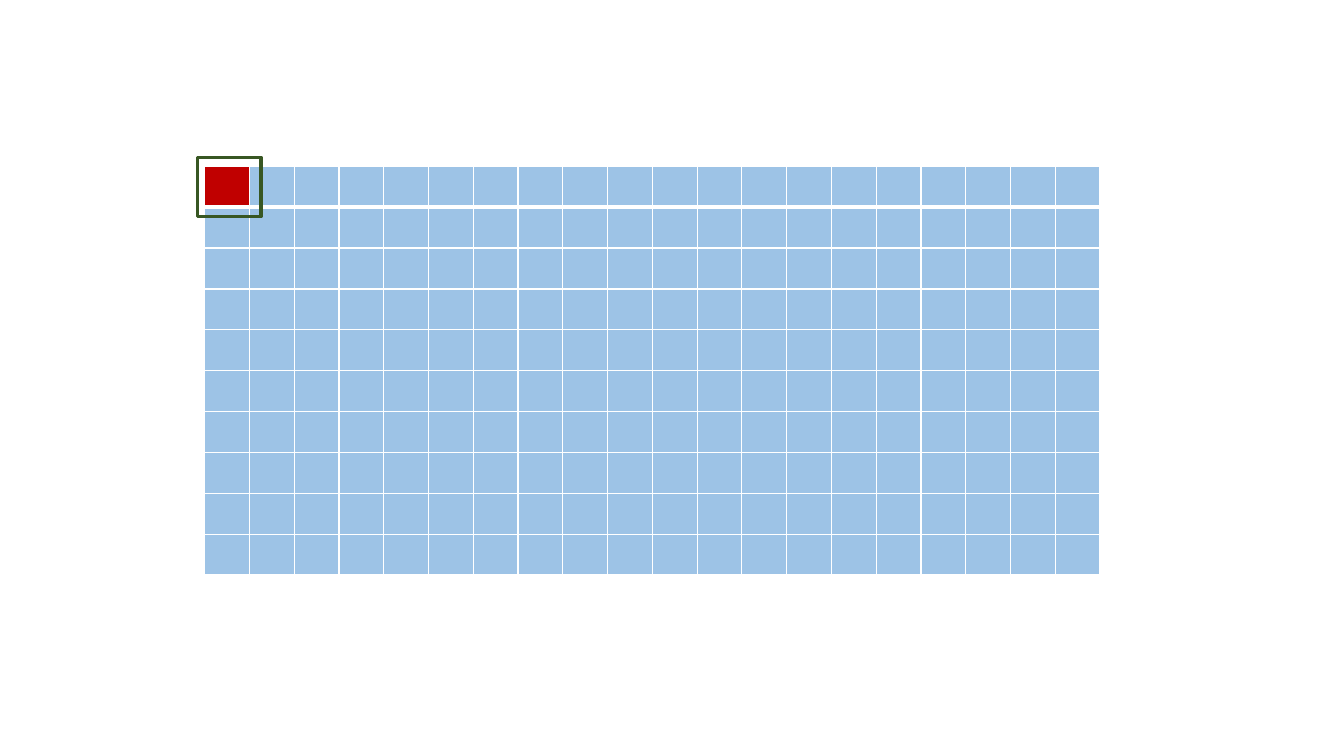
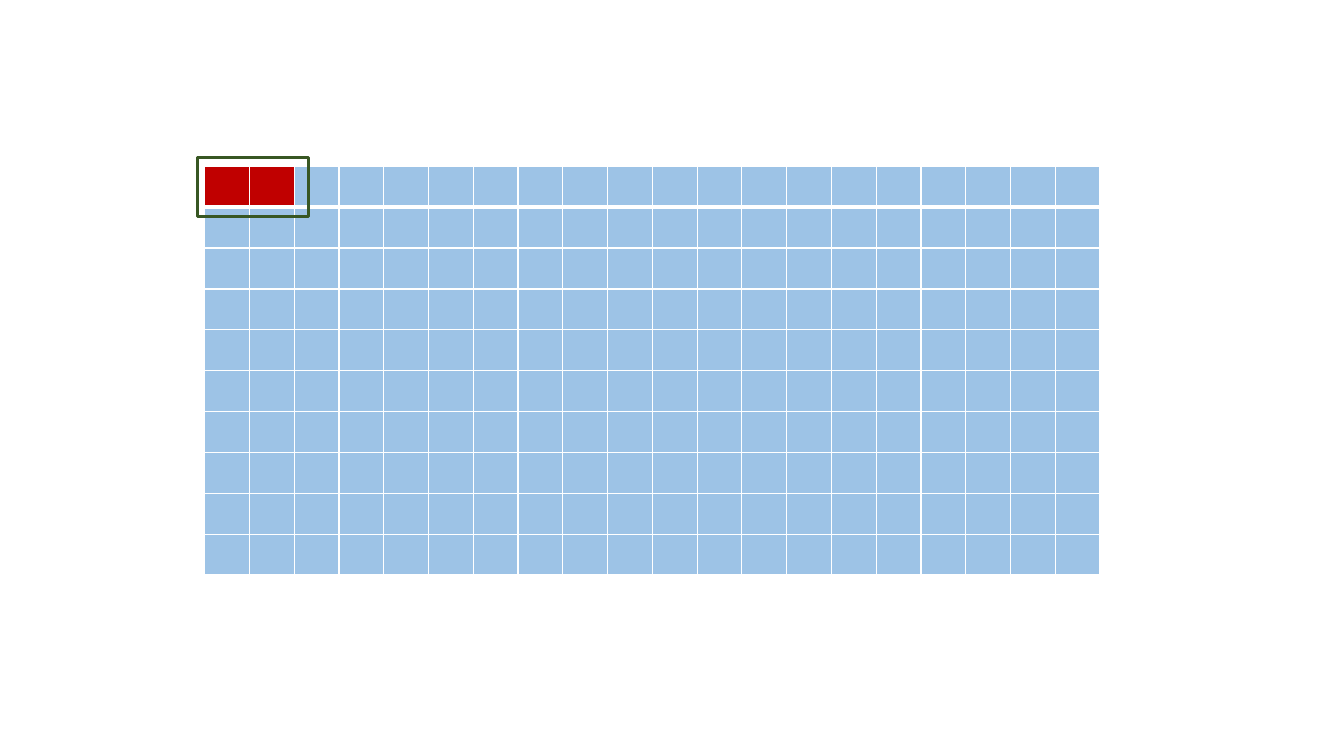
import pptx
import pptx.dml.color
import pptx.enum.shapes
import pptx.util
import lxml.etree
from pptx.oxml.ns import qn

Cm = pptx.util.Cm
Pt = pptx.util.Pt

COLOURS = {"cell": "9DC3E6", "marked": "C00000", "rule": "FFFFFF", "frame": "385723"}
COLUMNS, ROWS = 20, 10
GRID_BOX = (Cm(5.16), Cm(4.19), Cm(22.58), Cm(10.3))
FRAME_INSET = (Cm(0.18), Cm(0.23))
FRAME_SIZE = (Cm(1.6), Cm(1.5))
FRAME_STEP = Cm(1.19)


def colour(name):
    return pptx.dml.color.RGBColor.from_string(COLOURS[name])


def add_borders(cell, widths):
    properties = cell._tc.get_or_add_tcPr()
    for side, width in widths.items():
        line = lxml.etree.SubElement(properties, qn("a:ln" + side), w=str(Pt(width)))
        fill = lxml.etree.SubElement(line, qn("a:solidFill"))
        lxml.etree.SubElement(fill, qn("a:srgbClr"), val=COLOURS["rule"])


def add_grid(page, box, marked):
    table = page.shapes.add_table(ROWS, COLUMNS, *box).table
    table.first_row = False
    table.horz_banding = False
    for column in table.columns:
        column.width = box[2] // COLUMNS
    for row_index, row in enumerate(table.rows):
        row.height = box[3] // ROWS
        top = 3 if row_index == 1 else 1
        bottom = 3 if row_index == 0 else 1
        for column_index, cell in enumerate(row.cells):
            cell.margin_top = cell.margin_bottom = Cm(0.1)
            add_borders(cell, {"L": 1, "R": 1, "T": top, "B": bottom})
            is_marked = row_index == 0 and column_index < marked
            cell.fill.solid()
            cell.fill.fore_color.rgb = colour("marked" if is_marked else "cell")


def add_frame(page, box, marked):
    left, top = box[0] - FRAME_INSET[0], box[1] - FRAME_INSET[1]
    width = FRAME_SIZE[0] + (marked - 1) * FRAME_STEP
    frame = page.shapes.add_shape(
        pptx.enum.shapes.MSO_SHAPE.RECTANGLE, left, top, width, FRAME_SIZE[1])
    frame.shadow.inherit = False
    frame.fill.background()
    frame.line.color.rgb = colour("frame")
    frame.line.width = Pt(2.25)


def add_window_page(deck, box, marked):
    page = deck.slides.add_slide(deck.slide_layouts[6])
    add_grid(page, box, marked)
    add_frame(page, box, marked)


deck = pptx.Presentation()
deck.slide_width, deck.slide_height = Cm(33.87), Cm(19.05)
for marked in (1, 2):
    add_window_page(deck, GRID_BOX, marked)
deck.save("out.pptx")
